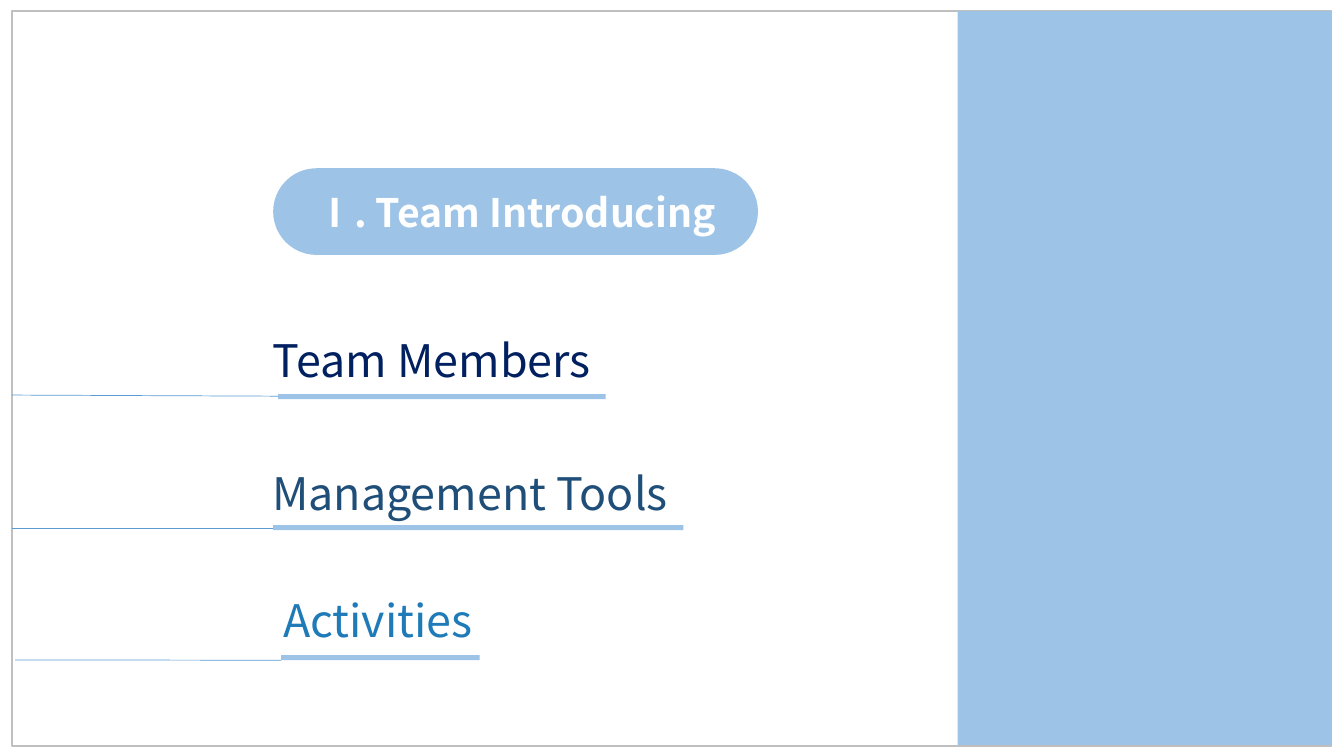
from dataclasses import dataclass

from lxml import etree
from pptx import Presentation
from pptx.dml.color import RGBColor
from pptx.enum.shapes import MSO_CONNECTOR, MSO_SHAPE
from pptx.enum.text import MSO_ANCHOR, MSO_AUTO_SIZE, PP_ALIGN
from pptx.oxml.ns import qn
from pptx.util import Pt

RECT, PILL = MSO_SHAPE.RECTANGLE, MSO_SHAPE.ROUNDED_RECTANGLE
STRAIGHT = MSO_CONNECTOR.STRAIGHT
CENTER, TOP, MIDDLE = PP_ALIGN.CENTER, MSO_ANCHOR.TOP, MSO_ANCHOR.MIDDLE
NO_FIT = MSO_AUTO_SIZE.NONE
TITLE_ONLY = 5


@dataclass(frozen=True)
class Theme:
    font: str = "Noto Sans CJK KR"
    title_size: int = 28
    item_size: int = 32
    white: str = "FFFFFF"
    panel: str = "9DC3E6"
    frame: str = "BFBFBF"
    lead: str = "5B9BD5"
    navy: str = "002060"
    steel: str = "1F4E79"
    azure: str = "1F7AB8"


THEME = Theme()

# text, colour, text box (left, top, width), bar (left, top, width), lead (left, y1, y2)
ITEMS = [
    ("Team Members", THEME.navy, (71.3, 234, 474.5), (198.7, 281.5, 234), (8.6, 282.2, 283)),
    ("Management Tools", THEME.steel, (113, 329, 445.7), (195.1, 375.1, 293), (8.6, 377.3, 377.3)),
    ("Activities", THEME.azure, (180, 419.8, 180), (200.9, 468, 141.8), (10.8, 471.4, 471.6)),
]


def rgb(code):
    return RGBColor.from_string(code)


def write(shape, text, size, color, bold=False, anchor=TOP):
    tf = shape.text_frame
    tf.word_wrap = True
    tf.auto_size = NO_FIT
    tf.vertical_anchor = anchor
    tf.margin_left = tf.margin_right = Pt(7.2)
    tf.margin_top = tf.margin_bottom = Pt(3.6)
    p = tf.paragraphs[0]
    p.alignment = CENTER
    p.line_spacing = 1.0
    r = p.add_run()
    r.text = text
    f = r.font
    f.name, f.size, f.bold = THEME.font, Pt(size), bold
    f.color.rgb = rgb(color)
    # Same typeface for East Asian characters
    etree.SubElement(r.font._element, qn("a:ea"), typeface=THEME.font)


def add_block(s, kind, box, fill=None, line=None):
    sp = s.shapes.add_shape(kind, *map(Pt, box))
    sp.shadow.inherit = False
    if fill:
        sp.fill.solid()
        sp.fill.fore_color.rgb = rgb(fill)
    else:
        sp.fill.background()
    if line:
        sp.line.color.rgb = rgb(line)
        sp.line.width = Pt(1)
    else:
        sp.line.fill.background()
    return sp


def add_line(s, x1, y1, x2, y2):
    cn = s.shapes.add_connector(STRAIGHT, Pt(x1), Pt(y1), Pt(x2), Pt(y2))
    cn.line.color.rgb = rgb(THEME.lead)
    cn.line.width = Pt(0.5)
    etree.SubElement(cn.element.spPr, qn("a:effectLst"))


def add_title(s, text, box):
    pill = add_block(s, PILL, box, fill=THEME.panel)
    pill.adjustments[0] = 0.5
    title = s.shapes.title
    title.left, title.top, title.width, title.height = map(Pt, box)
    write(title, text, THEME.title_size, THEME.white, bold=True, anchor=MIDDLE)
    # Bring the title in front of its pill
    pill.element.addnext(title.element)


def add_item(s, text, color, box, bar, lead):
    tb = s.shapes.add_textbox(*map(Pt, box), Pt(46))
    write(tb, text, THEME.item_size, color)
    add_block(s, RECT, (*bar, 3.6), fill=THEME.panel)
    x, y1, y2 = lead
    add_line(s, x, y1, bar[0], y2)


def main():
    prs = Presentation()
    prs.slide_width, prs.slide_height = Pt(960), Pt(540)
    s = prs.slides.add_slide(prs.slide_layouts[TITLE_ONLY])

    # Frame and heading
    add_block(s, RECT, (8.6, 7.9, 942.5, 524.9), line=THEME.frame)
    add_title(s, "Ⅰ. Team Introducing", (195.1, 120.2, 346.3, 61.9))

    # Section entries
    for item in ITEMS:
        add_item(s, *item)

    # Side panel
    add_block(s, RECT, (684, 7.9, 267.1, 524.2), fill=THEME.panel)
    prs.save("out.pptx")


if __name__ == "__main__":
    main()
